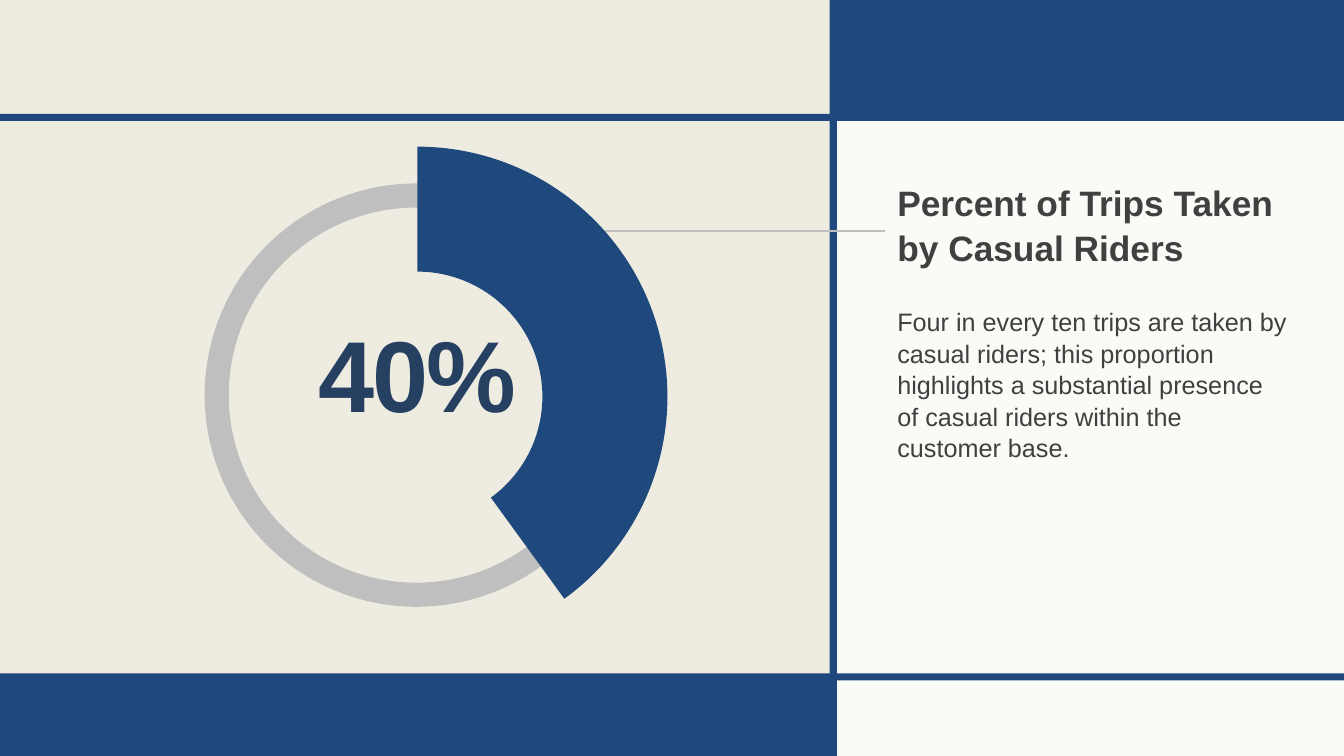
from lxml.etree import SubElement
from pptx import Presentation
from pptx.chart.data import CategoryChartData
from pptx.dml.color import RGBColor
from pptx.enum.chart import XL_CHART_TYPE as ChartType
from pptx.enum.shapes import MSO_CONNECTOR as Connector, MSO_SHAPE as Shape
from pptx.enum.text import MSO_ANCHOR as Anchor, MSO_AUTO_SIZE as AutoSize, PP_ALIGN as Align
from pptx.oxml import parse_xml
from pptx.oxml.ns import nsdecls, qn
from pptx.util import Inches, Pt

COLORS = {
    "sand": "EEECE1",
    "blue": "1F497D",
    "white": "FFFFFF",
    "gray": "BFBFBF",
    "navy": "254061",
    "text": "404040",
    "black": "000000",
}
FONT = "Arial"
WIDTH, HEIGHT = 13.33, 7.5
BAR = 0.07


def color(name):
    return RGBColor.from_string(COLORS[name])


def inches(*lengths):
    return [Inches(length) for length in lengths]


def add_block(page, at, fill, kind=Shape.RECTANGLE, alpha=None):
    block = page.shapes.add_shape(kind, *inches(*at))
    block.shadow.inherit = False
    block.line.fill.background()
    block.fill.solid()
    block.fill.fore_color.rgb = color(fill)
    if alpha is not None:
        shade = block._element.spPr.find(qn("a:solidFill"))[0]
        SubElement(shade, qn("a:alpha")).set("val", str(alpha * 1000))
    return block


def add_line(page, start, end, stroke, width):
    line = page.shapes.add_connector(Connector.STRAIGHT, *inches(*start, *end))
    line.line.color.rgb = color(stroke)
    line.line.width = Pt(width)
    SubElement(line._element.spPr, qn("a:effectLst"))


def write_text(box, text, at, size, ink, bold=False, align=Align.LEFT,
               anchor=Anchor.TOP, margins=(0.12, 0.12, 0.12, 0.1),
               line_spacing=1.0, tracking=None):
    box.left, box.top, box.width, box.height = inches(*at)
    frame = box.text_frame
    frame.word_wrap = True
    frame.auto_size = AutoSize.NONE
    frame.vertical_anchor = anchor
    (frame.margin_left, frame.margin_top,
     frame.margin_right, frame.margin_bottom) = inches(*margins)
    para = frame.paragraphs[0]
    para.alignment = align
    para.line_spacing = line_spacing
    para.space_before = Pt(0)
    span = para.add_run()
    span.text = text
    span.font.name = FONT
    span.font.size = Pt(size)
    span.font.bold = bold
    span.font.color.rgb = color(ink)
    if tracking is not None:
        span._r.get_or_add_rPr().set("spc", str(int(tracking * 100)))


def add_text(page, text, at, **style):
    write_text(page.shapes.add_textbox(*inches(*at)), text, at, **style)


def add_doughnut(page, at, values, fills, hole, diameter):
    data = CategoryChartData()
    data.categories = [str(number + 1) for number in range(len(values))]
    data.add_series("Series 1", values)
    chart = page.shapes.add_chart(ChartType.DOUGHNUT, *inches(*at), data).chart
    chart.has_legend = False
    chart.has_title = False
    chart.font.name = FONT
    chart.font.size = Pt(10)
    chart.font.color.rgb = color("black")
    plot = chart.plots[0]
    plot.vary_by_categories = False
    for number, fill in enumerate(fills):
        point = plot.series[0].points[number].format
        point.line.fill.background()
        if fill:
            point.fill.solid()
            point.fill.fore_color.rgb = color(fill)
        else:
            point.fill.background()
    plot._element.find(qn("c:holeSize")).set("val", str(hole))
    share_w, share_h = diameter / at[2], diameter / at[3]
    area = chart._chartSpace.chart.plotArea
    for layout in area.findall(qn("c:layout")):
        area.remove(layout)
    area.insert(0, parse_xml(
        f'<c:layout {nsdecls("c")}><c:manualLayout><c:layoutTarget val="inner"/>'
        '<c:xMode val="edge"/><c:yMode val="edge"/>'
        f'<c:x val="{(1 - share_w) / 2:.4f}"/><c:y val="{(1 - share_h) / 2:.4f}"/>'
        f'<c:w val="{share_w:.4f}"/><c:h val="{share_h:.4f}"/>'
        '</c:manualLayout></c:layout>'))


def add_backdrop(page):
    page.background.fill.solid()
    page.background.fill.fore_color.rgb = color("sand")
    right = WIDTH - 8.3
    add_block(page, (8.25, 0, WIDTH - 8.25, 1.16), "blue")
    add_block(page, (0, 6.72, 8.24, HEIGHT - 6.72), "blue")
    add_block(page, (8.3, 1.2, right, 5.49), "white", alpha=75)
    add_block(page, (8.3, 6.74, right, HEIGHT - 6.74), "white", alpha=75)
    for top in (1.13, 6.68):
        add_block(page, (0, top, WIDTH, BAR), "blue")
    add_block(page, (8.23, 0, BAR, HEIGHT), "blue")


def main():
    deck = Presentation()
    deck.slide_width, deck.slide_height = inches(WIDTH, HEIGHT)
    page = deck.slides.add_slide(deck.slide_layouts[5])
    title = page.shapes.title
    add_backdrop(page)
    add_line(page, (6, 2.29), (8.78, 2.29), "gray", 1.5)
    ring = add_block(page, (2.03, 1.82, 4.2, 4.2), "gray", kind=Shape.DONUT)
    ring.adjustments[0] = 0.057
    add_doughnut(page, (0.17, 1.32, 7.94, 5.23), (40, 60), ("blue", None),
                 hole=58, diameter=4.96)
    add_text(page, "40%", (2.67, 3.17, 2.94, 1.16), size=72, ink="navy",
             bold=True, align=Align.CENTER, anchor=Anchor.MIDDLE,
             margins=(0.1, 0, 0.1, 0), line_spacing=0.96, tracking=-1.5)
    page.shapes._spTree.append(title._element)
    write_text(title, "Percent of Trips Taken by Casual Riders",
               (8.78, 1.82, 4.11, 0.94), size=25.2, ink="text", bold=True,
               anchor=Anchor.BOTTOM, line_spacing=1.06)
    add_text(page, "Four in every ten trips are taken by casual riders; this "
             "proportion highlights a substantial presence of casual riders "
             "within the customer base.",
             (8.78, 2.91, 4.11, 3.62), size=18, ink="text", line_spacing=1.04)
    deck.save("out.pptx")


if __name__ == "__main__":
    main()
